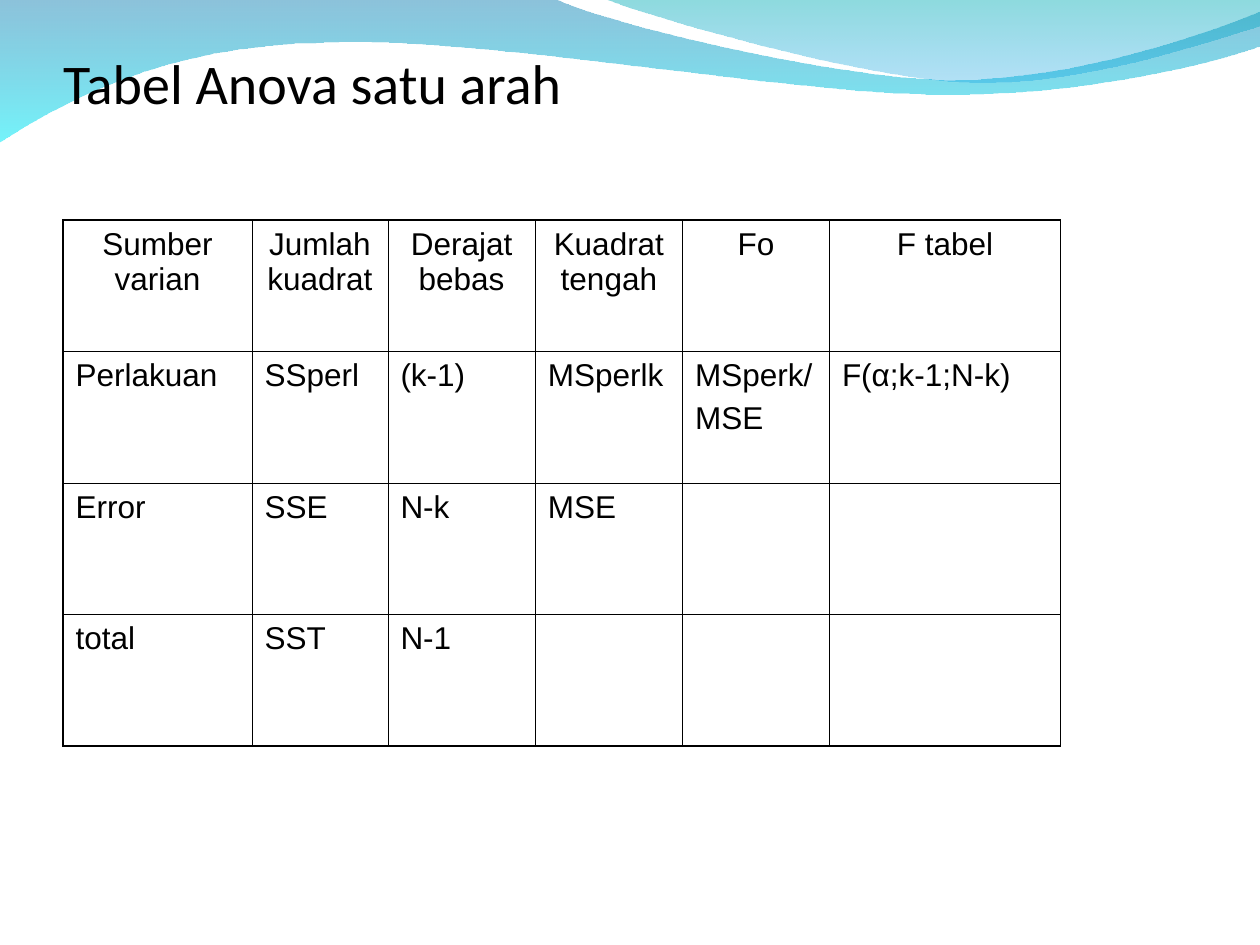
from lxml import etree
from pptx import Presentation
from pptx import util as u
from pptx.dml.color import RGBColor
from pptx.enum import text
from pptx.oxml import ns

BLACK = RGBColor(0x00, 0x00, 0x00)
DEEP_BLUE = RGBColor(0x00, 0x79, 0xAF)
CYAN = RGBColor(0x00, 0xEB, 0xF8)
TEAL = RGBColor(0x00, 0xAD, 0xB6)
SKY = RGBColor(0x00, 0x9B, 0xE5)

LONG_WAVE = [
    [(0, -0.03)],
    [(11.18, -0.03)],
    [(12.09, 0.43), (16.87, 1.6), (19.25, 1.6)],
    [(21.67, 1.6), (24.33, 0.66), (25.4, 0.23)],
    [(25.43, 0.91)],
    [(24.97, 1.12), (22.1, 1.93), (18.95, 1.9)],
    [(15.8, 1.9), (9.7, 0.71), (6.53, 0.86)],
    [(3.28, 0.89), (1.17, 2.11), (-0.03, 2.87)],
    [(0, -0.03)],
]
SHORT_WAVE = [
    [(12.17, -0.03)],
    [(12.93, 0.28), (17.32, 1.57), (19.53, 1.65)],
    [(21.74, 1.75), (24.41, 0.81), (25.4, 0.53)],
    [(25.4, 0)],
    [(12.17, -0.03)],
]

COLUMN_WIDTHS = [3.81, 2.74, 2.97, 2.97, 2.96, 4.66]
ROW_HEIGHT = 2.65
ANOVA_ROWS = [
    ["Sumber varian", "Jumlah kuadrat", "Derajat bebas", "Kuadrat tengah", "Fo", "F tabel"],
    ["Perlakuan", "SSperl", "(k-1)", "MSperlk", "MSperk/\nMSE", "F(α;k-1;N-k)"],
    ["Error", "SSE", "N-k", "MSE", "", ""],
    ["total", "SST", "N-1", "", "", ""],
]


def write(frame, content, font="Arial", size=18, color=BLACK,
          align=text.PP_ALIGN.LEFT, gap=4.5):
    for index, line in enumerate(content.split("\n")):
        paragraph = frame.add_paragraph() if index else frame.paragraphs[0]
        paragraph.alignment = align
        paragraph.space_before = u.Pt(gap if index else 0)
        paragraph.font.size = u.Pt(size)
        if line:
            run = paragraph.add_run()
            run.text = line
            run.font.name = font
            run.font.size = u.Pt(size)
            run.font.color.rgb = color


def bend(shape, segments):
    lines = iter(list(shape.element.iter(ns.qn("a:lnTo"))))
    for segment in segments[1:]:
        group = [next(lines) for point in segment]
        if len(group) == 3:
            curve = etree.Element(ns.qn("a:cubicBezTo"))
            group[0].addprevious(curve)
            for line in group:
                curve.append(line[0])
                line.getparent().remove(line)


class SlideBuilder:
    title_font = "Calibri"
    title_size = 32
    outer_line = 1.08
    inner_line = 0.45

    def __init__(self, slide):
        self.slide = slide

    def wave(self, segments, stops):
        start, *points = [(u.Cm(x), u.Cm(y)) for segment in segments for x, y in segment]
        builder = self.slide.shapes.build_freeform(*start)
        builder.add_line_segments(points, close=True)
        shape = builder.convert_to_shape()
        bend(shape, segments)
        shape.shadow.inherit = False
        shape.line.fill.background()
        shape.fill.gradient()
        shape.fill.gradient_angle = 270
        for stop, (color, opacity) in zip(shape.fill.gradient_stops, stops):
            stop.color.rgb = color
        for element, (color, opacity) in zip(shape.element.iter(ns.qn("a:gs")), stops):
            etree.SubElement(element[0], ns.qn("a:alpha"), val=str(opacity * 1000))

    def title(self, content, left, top, width, height):
        shape = self.slide.shapes.title
        shape.left, shape.top = u.Cm(left), u.Cm(top)
        shape.width, shape.height = u.Cm(width), u.Cm(height)
        frame = shape.text_frame
        frame.word_wrap = True
        frame.auto_size = text.MSO_AUTO_SIZE.NONE
        frame.vertical_anchor = text.MSO_ANCHOR.BOTTOM
        frame.margin_left = frame.margin_right = frame.margin_bottom = 0
        frame.margin_top = u.Cm(0.13)
        write(frame, content, font=self.title_font, size=self.title_size)
        shape.element.getparent().append(shape.element)

    def borders(self, cell, outer_sides):
        properties = cell._tc.get_or_add_tcPr()
        for index, side in enumerate("LRTB"):
            width = self.outer_line if side in outer_sides else self.inner_line
            line = etree.Element(ns.qn(f"a:ln{side}"), w=str(u.Pt(width)))
            fill = etree.SubElement(line, ns.qn("a:solidFill"))
            etree.SubElement(fill, ns.qn("a:srgbClr"), val=str(BLACK))
            properties.insert(index, line)

    def table(self, rows, left, top, widths, row_height):
        last_row, last_column = len(rows) - 1, len(widths) - 1
        table = self.slide.shapes.add_table(
            len(rows), len(widths), u.Cm(left), u.Cm(top),
            u.Cm(sum(widths)), u.Cm(row_height * len(rows))).table
        table.first_row = table.horz_banding = False
        for column, width in zip(table.columns, widths):
            column.width = u.Cm(width)
        for r, values in enumerate(rows):
            table.rows[r].height = u.Cm(row_height)
            align = text.PP_ALIGN.LEFT if r else text.PP_ALIGN.CENTER
            for c, value in enumerate(values):
                cell = table.cell(r, c)
                cell.fill.background()
                write(cell.text_frame, value, align=align)
                edges = {"L": c == 0, "R": c == last_column,
                         "T": r == 0, "B": r == last_row}
                self.borders(cell, [side for side, outer in edges.items() if outer])


def main():
    presentation = Presentation()
    presentation.slide_width, presentation.slide_height = u.Cm(25.4), u.Cm(19.05)
    slide = presentation.slides.add_slide(presentation.slide_layouts[5])
    builder = SlideBuilder(slide)
    builder.wave(LONG_WAVE, [(DEEP_BLUE, 45), (CYAN, 55)])
    builder.wave(SHORT_WAVE, [(TEAL, 45), (SKY, 30)])
    builder.title("Tabel Anova satu arah", 1.27, 0.76, 22.86, 1.57)
    builder.table(ANOVA_ROWS, 1.27, 4.44, COLUMN_WIDTHS, ROW_HEIGHT)
    presentation.save("out.pptx")


if __name__ == "__main__":
    main()
